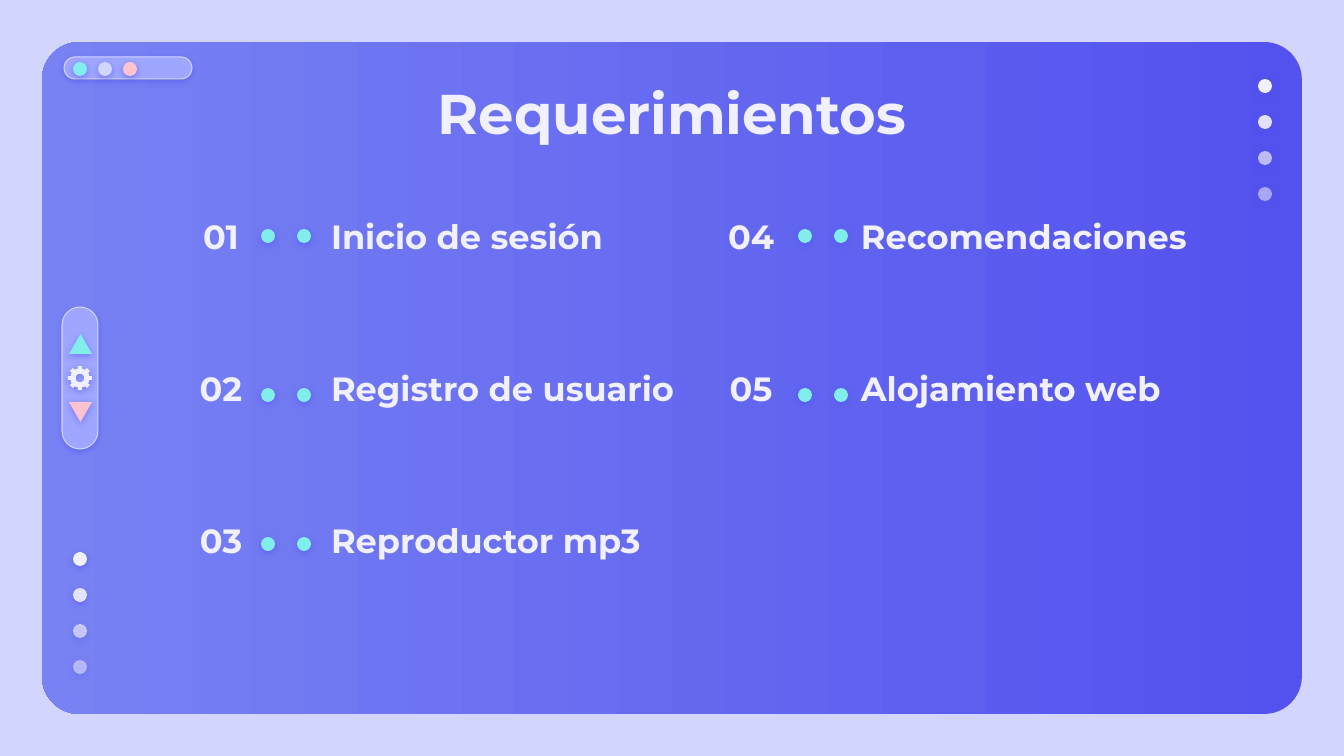
import dataclasses
import math

import lxml.etree
import pptx
import pptx.dml.color
import pptx.enum.shapes
import pptx.enum.text
import pptx.oxml.ns
import pptx.util

SHAPES = pptx.enum.shapes.MSO_SHAPE
ALIGN = pptx.enum.text.PP_ALIGN
ANCHOR = pptx.enum.text.MSO_ANCHOR
PX = 12192000 / 1344


@dataclasses.dataclass(frozen=True)
class Theme:
    backdrop: str = "D2D6FF"
    deep: str = "5352EE"
    light: str = "7882F3"
    pill: str = "9EA6FF"
    white: str = "F1F0FF"
    mint: str = "81EEEB"
    pink: str = "FFC3D0"
    font: str = "Montserrat"
    title_size: int = 40
    item_size: int = 24


def px(length):
    return pptx.util.Emu(round(length * PX))


def rgb(code):
    return pptx.dml.color.RGBColor.from_string(code)


def add_node(parent, tag, **attributes):
    return lxml.etree.SubElement(parent, pptx.oxml.ns.qn(tag), attributes)


class Board:
    def __init__(self, page, theme):
        self.page = page
        self.theme = theme
        page.background.fill.solid()
        page.background.fill.fore_color.rgb = rgb(theme.backdrop)

    def finish(self, shape, color, opacity=100):
        shape.fill.solid()
        shape.fill.fore_color.rgb = rgb(color)
        shape.line.fill.background()
        shape.shadow.inherit = False
        properties = shape._element.spPr
        if opacity < 100:
            fill = properties.find(pptx.oxml.ns.qn("a:solidFill"))
            add_node(fill[0], "a:alpha", val=str(opacity * 1000))
        effects = properties.find(pptx.oxml.ns.qn("a:effectLst"))
        shadow = add_node(effects, "a:outerShdw", blurRad="57150", dist="19050",
                          dir="5400000", algn="bl", rotWithShape="0")
        tint = add_node(shadow, "a:srgbClr", val=self.theme.deep)
        add_node(tint, "a:alpha", val="50000")
        return shape

    def shape(self, kind, left, top, width, height):
        return self.page.shapes.add_shape(kind, px(left), px(top), px(width), px(height))

    def panel(self, left, top, width, height):
        panel = self.shape(SHAPES.ROUNDED_RECTANGLE, left, top, width, height)
        panel.adjustments[0] = 0.056
        panel.shadow.inherit = False
        panel.line.fill.background()
        panel.fill.gradient()
        panel.fill.gradient_angle = 180
        for stop, color in zip(panel.fill.gradient_stops, (self.theme.deep, self.theme.light)):
            stop.color.rgb = rgb(color)

    def pill(self, left, top, width, height):
        pill = self.shape(SHAPES.ROUNDED_RECTANGLE, left, top, width, height)
        pill.adjustments[0] = 0.5
        self.finish(pill, self.theme.pill)
        pill.line.color.rgb = rgb(self.theme.backdrop)
        pill.line.width = pptx.util.Pt(0.75)

    def dot(self, left, top, color, opacity=100):
        self.finish(self.shape(SHAPES.OVAL, left, top, 14, 14), color, opacity)

    def fading_dots(self, left, top):
        for index, opacity in enumerate((100, 90, 67, 54)):
            self.dot(left, top + 36 * index, self.theme.white, opacity)

    def triangle(self, left, top, color, rotation=0):
        triangle = self.shape(SHAPES.ISOSCELES_TRIANGLE, left, top, 23, 20)
        triangle.rotation = rotation
        self.finish(triangle, color)

    def gear(self, center_x, center_y, outer=11.8, root=9.7, hole=4.4):
        def point(radius, degrees):
            angle = math.radians(degrees)
            return (center_x + radius * math.cos(angle), center_y + radius * math.sin(angle))

        tooth = ((root, -12), (outer, -10), (outer, 10), (root, 12), (root, 22))
        rim = [point(radius, 45 * index + offset) for index in range(8) for radius, offset in tooth]
        bore = [point(hole, -10 * index) for index in range(36)]
        builder = self.page.shapes.build_freeform(*rim[0], scale=PX)
        builder.add_line_segments(rim[1:], close=True)
        builder.move_to(*bore[0])
        builder.add_line_segments(bore[1:], close=True)
        self.finish(builder.convert_to_shape(), self.theme.white)

    def text(self, words, left, top, width, height, size, align, anchor=ANCHOR.MIDDLE):
        box = self.page.shapes.add_textbox(px(left), px(top), px(width), px(height))
        frame = {"word_wrap": True, "vertical_anchor": anchor}
        frame.update({f"margin_{side}": px(13) for side in ("left", "top", "right", "bottom")})
        for name, value in frame.items():
            setattr(box.text_frame, name, value)
        para = box.text_frame.paragraphs[0]
        para.alignment = align
        span = para.add_run()
        span.text = words
        style = {"name": self.theme.font, "size": pptx.util.Pt(size), "bold": True}
        for name, value in style.items():
            setattr(span.font, name, value)
        span.font.color.rgb = rgb(self.theme.white)

    def item(self, number, label, left, top, dots_left, dots_top):
        size = self.theme.item_size
        self.text(f"{number:02d}", left, top, 128, 37, size, ALIGN.CENTER)
        self.text(label, left + 161, top, 370, 37, size, ALIGN.LEFT)
        for index in range(2):
            self.dot(dots_left + 36 * index, dots_top, self.theme.mint)


def main():
    deck = pptx.Presentation()
    deck.slide_width, deck.slide_height = px(1344), px(756)
    theme = Theme()
    board = Board(deck.slides.add_slide(deck.slide_layouts[6]), theme)

    board.panel(42, 42, 1260, 672)
    board.pill(64, 57, 128, 22)
    for index, color in enumerate((theme.mint, theme.backdrop, theme.pink)):
        board.dot(73 + 25 * index, 62, color)
    board.fading_dots(1258, 79)
    board.fading_dots(73, 552)

    board.text("Requerimientos", 106, 66, 1132, 85, theme.title_size, ALIGN.CENTER, ANCHOR.TOP)
    labels = ("Inicio de sesión", "Registro de usuario", "Reproductor mp3",
              "Recomendaciones", "Alojamiento web")
    columns = ((157, 261), (687, 798))
    dot_tops = (229, 388, 537)
    for index, label in enumerate(labels):
        column, row = divmod(index, 3)
        left, dots_left = columns[column]
        board.item(index + 1, label, left, 218 + 152 * row, dots_left, dot_tops[row])

    board.pill(62, 307, 36, 142)
    board.triangle(69, 334, theme.mint)
    board.triangle(69, 402, theme.pink, 180)
    board.gear(80, 378)
    deck.save("out.pptx")


if __name__ == "__main__":
    main()
